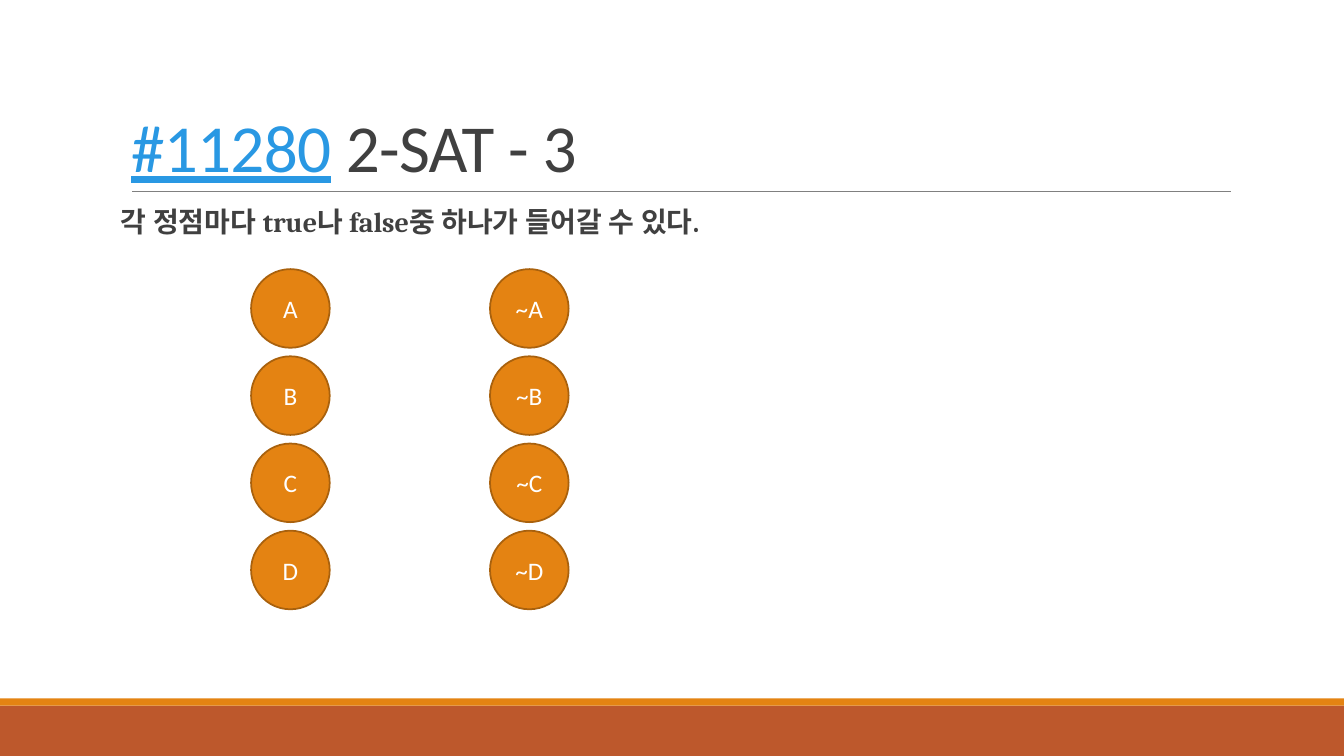
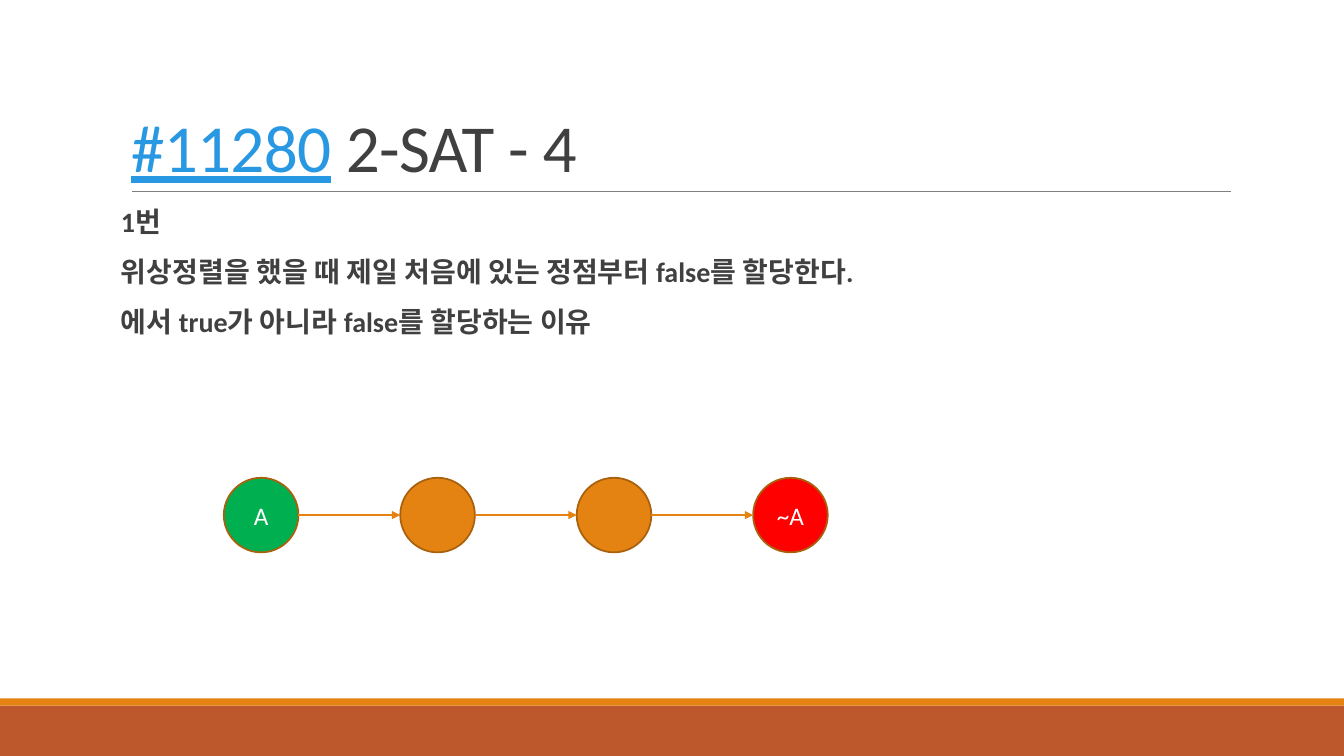
from pptx import Presentation
from pptx import util as u
from pptx.dml.color import RGBColor
from pptx.enum import shapes, text
from pptx.oxml import parse_xml
from pptx.oxml.ns import nsdecls

# Shared look
WIDTH, HEIGHT = 13.33, 7.5
LEFT, TEXT_WIDTH = 1.2, 11
SANS, SERIF = "Calibri", "Cambria"
WHITE = RGBColor(0xFF, 0xFF, 0xFF)
INK = RGBColor(0x40, 0x40, 0x40)
GREY = RGBColor(0x80, 0x80, 0x80)
BLUE = RGBColor(0x29, 0x98, 0xE3)
ORANGE = RGBColor(0xE4, 0x83, 0x12)
BROWN = RGBColor(0xA9, 0x61, 0x0D)
RUST = RGBColor(0xBD, 0x58, 0x2C)
GREEN = RGBColor(0x00, 0xB0, 0x50)
RED = RGBColor(0xFF, 0x00, 0x00)


def inches(*lengths):
    return [u.Inches(length) for length in lengths]


def add_band(page, top, height, color):
    band = page.shapes.add_shape(shapes.MSO_SHAPE.RECTANGLE,
                                 *inches(0, top, WIDTH, height))
    band.shadow.inherit = False
    band.fill.solid()
    band.fill.fore_color.rgb = color
    band.line.fill.background()


def add_line(page, start, end, color, weight, arrow=False):
    line = page.shapes.add_connector(shapes.MSO_CONNECTOR.STRAIGHT,
                                     *inches(*start, *end))
    line.line.color.rgb = color
    line.line.width = u.Pt(weight)
    if arrow:
        line.line._get_or_add_ln().append(
            parse_xml(f'<a:tailEnd {nsdecls("a")} type="triangle"/>'))
    line._element.spPr.append(parse_xml(f'<a:effectLst {nsdecls("a")}/>'))


def add_title(page, number, name):
    title = page.shapes.title
    title.left, title.top, title.width, title.height = inches(
        LEFT, 0.31, TEXT_WIDTH, 1.59)
    frame = title.text_frame
    frame.auto_size = text.MSO_AUTO_SIZE.NONE
    frame.vertical_anchor = text.MSO_ANCHOR.BOTTOM
    para = frame.paragraphs[0]
    para.alignment = text.PP_ALIGN.LEFT
    para.line_spacing = 0.85
    para.font.size = u.Pt(48)
    para.font.name = SANS
    for words, color, underline in ((number, BLUE, True),
                                    (f" {name}", INK, False)):
        span = para.add_run()
        span.text = words
        span.font.color.rgb = color
        span.font.underline = underline
        span.font._element.set("spc", "-50")


def add_body(page, lines, font):
    box = page.shapes.add_textbox(*inches(LEFT, 2.02, TEXT_WIDTH, 4.4))
    frame = box.text_frame
    frame.word_wrap = True
    frame.margin_left = frame.margin_right = 0
    frame.text = "\n".join(lines)
    for para in frame.paragraphs:
        para.line_spacing = 0.9
        para.space_before, para.space_after = u.Pt(12), u.Pt(2)
        para.font.size = u.Pt(20)
        para.font.name = font
        para.font.bold = True
        para.font.color.rgb = INK


def add_node(page, left, top, size, label="", color=ORANGE):
    node = page.shapes.add_shape(shapes.MSO_SHAPE.OVAL,
                                 *inches(left, top, size, size))
    node.shadow.inherit = False
    node.fill.solid()
    node.fill.fore_color.rgb = color
    node.line.color.rgb = BROWN
    node.line.width = u.Pt(1.25)
    if label:
        frame = node.text_frame
        frame.text = label
        frame.vertical_anchor = text.MSO_ANCHOR.MIDDLE
        para = frame.paragraphs[0]
        para.alignment = text.PP_ALIGN.CENTER
        para.font.size = u.Pt(18)
        para.font.name = SANS
        para.font.color.rgb = WHITE


def add_page(deck, name, lines, font):
    page = deck.slides.add_slide(deck.slide_layouts.get_by_name("Title Only"))
    add_band(page, 7, 0.5, RUST)
    add_band(page, 6.93, 0.07, ORANGE)
    add_line(page, (1.31, 1.9), (12.21, 1.9), GREY, 0.5)
    add_title(page, "#11280", name)
    add_body(page, lines, font)
    return page


def add_literal_grid(page):
    """One row per variable: the literal, then its negation."""
    left, top, size = 2.49, 2.67, 0.78
    column_step, row_step = 2.37, 0.865
    for column, sign in enumerate(("", "~")):
        for row, variable in enumerate("ABCD"):
            add_node(page, left + column * column_step, top + row * row_step,
                     size, sign + variable)


def add_chain(page):
    """Nodes in topological order, each pointing to the next."""
    left, top, size, step = 2.22, 4.74, 0.74, 1.75
    nodes = (("A", GREEN), ("", ORANGE), ("", ORANGE), ("~A", RED))
    for index, (label, color) in enumerate(nodes):
        add_node(page, left + index * step, top, size, label, color)
    middle = top + size / 2
    for index in range(len(nodes) - 1):
        start = left + index * step
        add_line(page, (start + size, middle), (start + step, middle),
                 ORANGE, 1, arrow=True)


def main():
    deck = Presentation()
    deck.slide_width, deck.slide_height = inches(WIDTH, HEIGHT)

    # Literals
    page = add_page(deck, "2-SAT - 3",
                    ["각 정점마다 true나 false중 하나가 들어갈 수 있다."], SERIF)
    add_literal_grid(page)

    # Why false comes first
    page = add_page(deck, "2-SAT - 4",
                    ["1번",
                     "위상정렬을 했을 때 제일 처음에 있는 정점부터 false를 할당한다.",
                     "에서 true가 아니라 false를 할당하는 이유"], SANS)
    add_chain(page)

    deck.save("out.pptx")


main()
